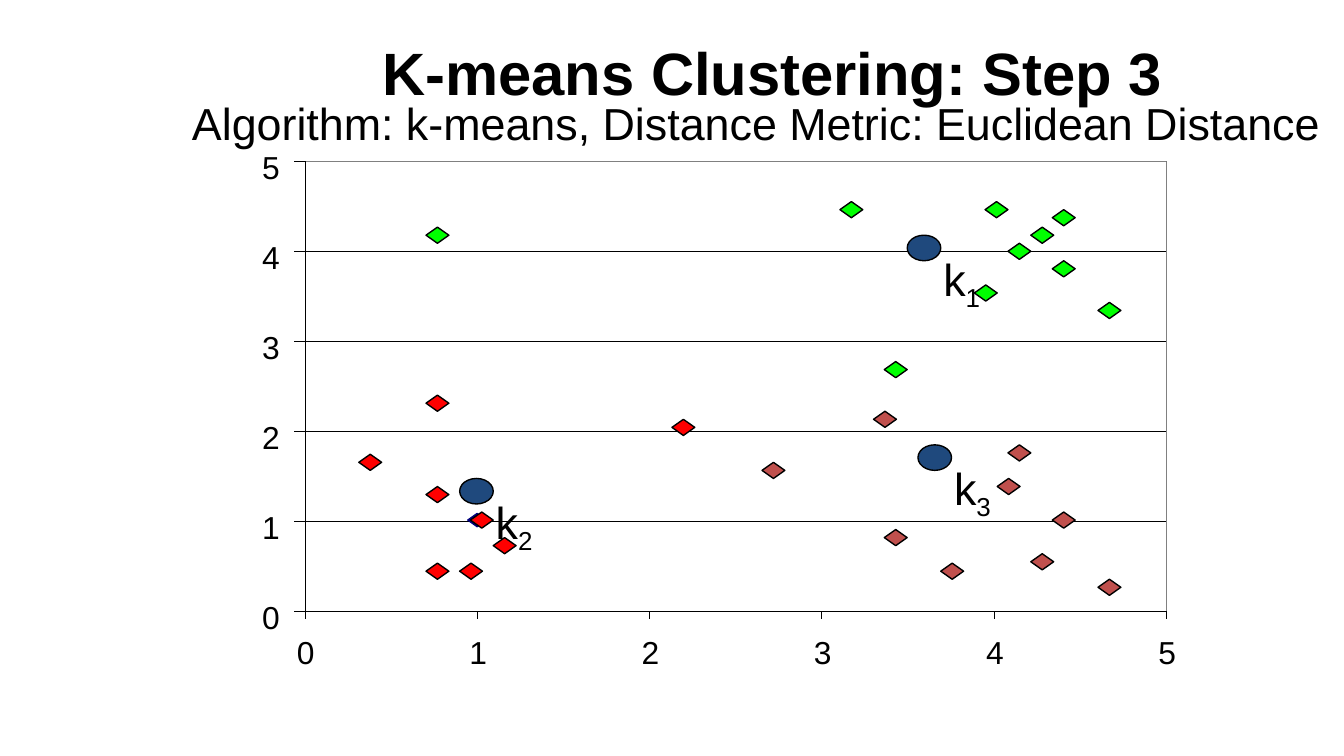
from lxml.etree import SubElement
from pptx import Presentation
from pptx.dml.color import RGBColor
from pptx.enum.shapes import MSO_CONNECTOR as Connector, MSO_SHAPE as Shape
from pptx.enum.text import MSO_ANCHOR as Anchor, MSO_AUTO_SIZE as AutoSize, PP_ALIGN as Align
from pptx.oxml.ns import qn
from pptx.util import Inches, Pt

COLORS = {
    "black": "000000",
    "frame": "808080",
    "navy": "000080",
    "centroid": "1F497D",
    "k1": "00FF00",
    "k2": "FF0000",
    "k3": "C0504D",
}
FONT = "Arial"
HAIRLINE = 0.01

# Plot area and its scale
LEFT, TOP, RIGHT, BOTTOM = 2.27, 1.2, 8.68, 4.55
MAX_VALUE = 5
X_STEP = (RIGHT - LEFT) / MAX_VALUE
Y_STEP = (BOTTOM - TOP) / MAX_VALUE

# Top left corners of the point markers, by cluster
POINT_SIZE = (0.17, 0.12)
POINTS = {
    "k2": [(3.5, 3.81), (3.67, 4), (3.42, 4.19), (3.17, 3.62), (3.17, 2.94),
           (3.17, 4.19), (2.67, 3.38), (5, 3.12)],
    "k1": [(3.17, 1.69), (7.33, 1.5), (7.83, 1.56), (7.67, 1.69), (7.5, 1.81),
           (7.83, 1.94), (8.17, 2.25), (6.25, 1.5), (6.58, 2.69), (7.25, 2.12)],
    "k3": [(6.58, 3.94), (7, 4.19), (7.42, 3.56), (6.5, 3.06), (5.67, 3.44),
           (7.83, 3.81), (7.67, 4.12), (7.5, 3.31), (8.17, 4.31)],
}
CENTROIDS = {"1": (6.75, 1.75), "2": (3.42, 3.56), "3": (6.83, 3.31)}


def rgb(name):
    return RGBColor.from_string(COLORS[name])


def add_line(page, x1, y1, x2, y2):
    line = page.shapes.add_connector(
        Connector.STRAIGHT, Inches(x1), Inches(y1), Inches(x2), Inches(y2))
    line.line.color.rgb = rgb("black")
    line.line.width = Pt(HAIRLINE)
    SubElement(line._element.spPr, qn("a:effectLst"))


def add_figure(shapes, kind, x, y, width, height, fill=None, line="black", weight=0.75):
    figure = shapes.add_shape(kind, Inches(x), Inches(y), Inches(width), Inches(height))
    figure.shadow.inherit = False
    if fill:
        figure.fill.solid()
        figure.fill.fore_color.rgb = rgb(fill)
    else:
        figure.fill.background()
    figure.line.color.rgb = rgb(line)
    figure.line.width = Pt(weight)


def add_text(shapes, x, y, width, height, text, size, subscript=None, bold=False,
             wrap=False, margin=None, align=Align.LEFT, anchor=Anchor.TOP,
             fit=AutoSize.SHAPE_TO_FIT_TEXT):
    box = shapes.add_textbox(Inches(x), Inches(y), Inches(width), Inches(height))
    frame = box.text_frame
    frame.word_wrap = wrap
    frame.auto_size = fit
    frame.vertical_anchor = anchor
    if margin is not None:
        frame.margin_left = frame.margin_right = Inches(margin)
        frame.margin_top = frame.margin_bottom = Inches(margin)
    para = frame.paragraphs[0]
    para.alignment = align
    for part in filter(None, (text, subscript)):
        span = para.add_run()
        span.text = part
        span.font.name = FONT
        span.font.size = Pt(size)
        span.font.bold = bold
        span.font.color.rgb = rgb("black")
        if part == subscript:
            span.font._element.set("baseline", "-25000")


def add_axes(page):
    # Grid lines and frame
    for value in range(1, MAX_VALUE + 1):
        y = BOTTOM - value * Y_STEP
        add_line(page, LEFT, y, RIGHT, y)
    add_figure(page.shapes, Shape.RECTANGLE, LEFT, TOP, RIGHT - LEFT, BOTTOM - TOP,
               line="frame", weight=0.63)
    add_line(page, LEFT, TOP, LEFT, BOTTOM)
    add_line(page, LEFT, BOTTOM, RIGHT, BOTTOM)

    # Ticks and numbers on both axes
    for value in range(MAX_VALUE + 1):
        x, y = LEFT + value * X_STEP, BOTTOM - value * Y_STEP
        add_line(page, LEFT - 0.08, y, LEFT, y)
        add_line(page, x, BOTTOM + 0.05, x, BOTTOM)
        for left, top in ((1.95, y - 0.1), (x - 0.06, 4.71)):
            add_text(page.shapes, left, top, 0.13, 0.29, str(value), 17, margin=0)


def add_centroid(page, number, x, y):
    group = page.shapes.add_group_shape()
    add_figure(group.shapes, Shape.OVAL, x, y, 0.25, 0.19, "centroid")
    add_text(group.shapes, x + 0.17, y + 0.07, 0.58, 0.51, "k", 24,
             subscript=number, wrap=True)


def main():
    # Widescreen page, 16 to 9
    deck = Presentation()
    deck.slide_width = Inches(10)
    deck.slide_height = deck.slide_width * 9 // 16
    page = deck.slides.add_slide(deck.slide_layouts[6])

    add_axes(page)
    add_figure(page.shapes, Shape.DIAMOND, 3.48, 3.82, 0.14, 0.1, "navy", "navy", 0.63)

    # Headings
    add_text(page.shapes, 1.5, 0.31, 8.5, 0.44, "K-means Clustering: Step 3", 32,
             bold=True, wrap=True, align=Align.CENTER, anchor=Anchor.MIDDLE,
             fit=AutoSize.NONE)
    add_text(page.shapes, 1.33, 0.66, 8.68, 0.5,
             "Algorithm: k-means, Distance Metric: Euclidean Distance", 24)

    # Centroids, then the points of each cluster
    for number, (x, y) in CENTROIDS.items():
        add_centroid(page, number, x, y)
    for cluster, corners in POINTS.items():
        for x, y in corners:
            add_figure(page.shapes, Shape.DIAMOND, x, y, *POINT_SIZE, cluster)

    deck.save("out.pptx")


if __name__ == "__main__":
    main()
